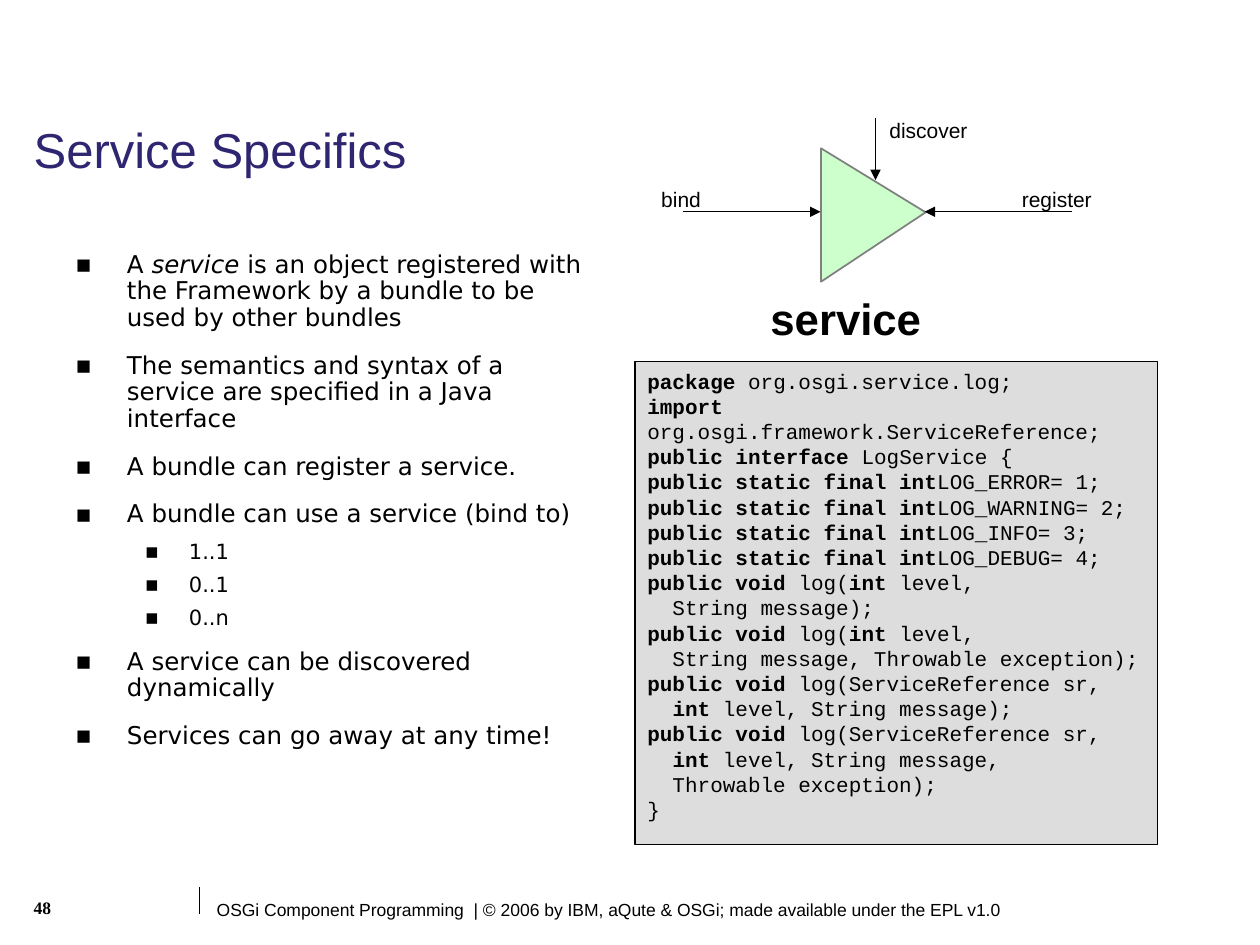
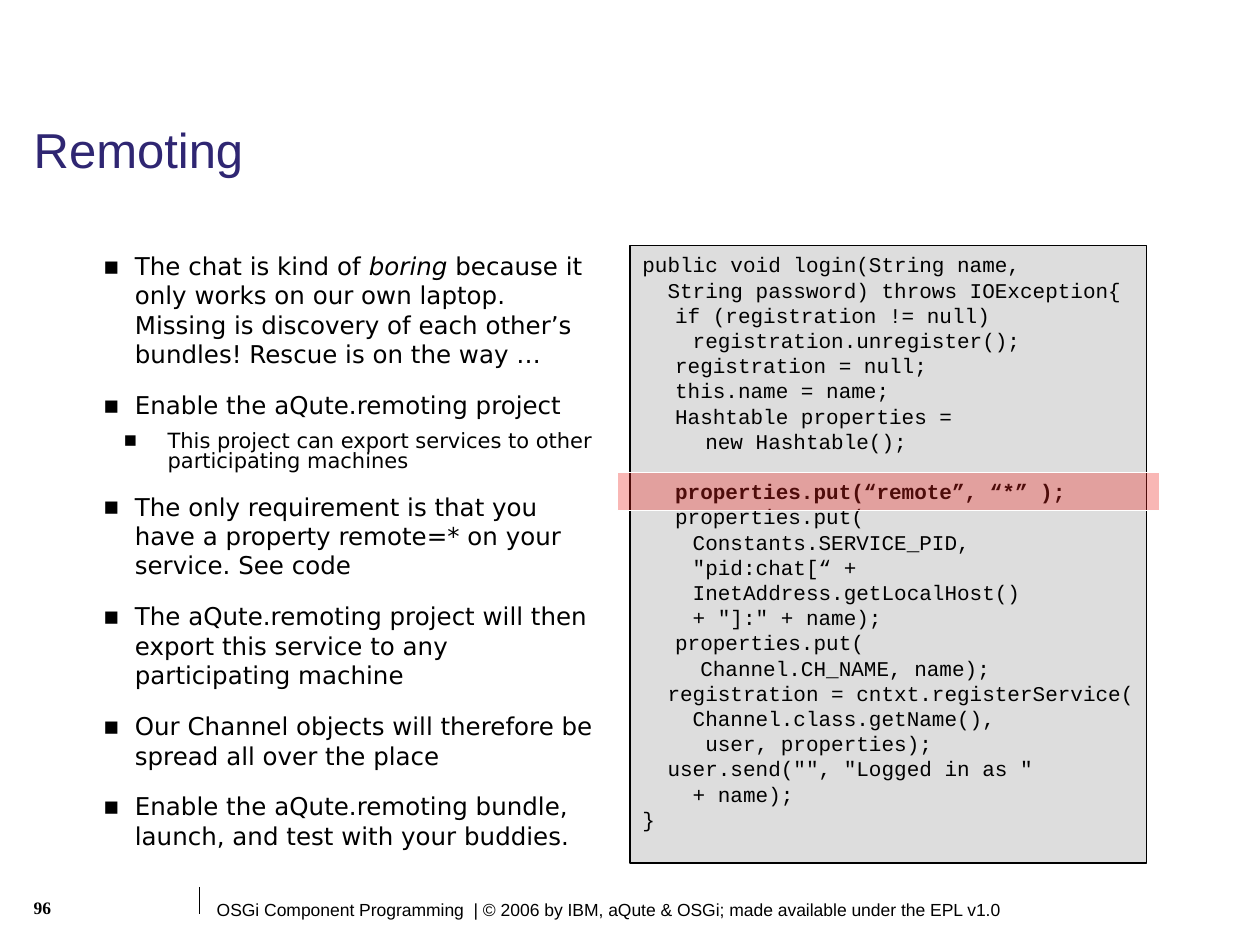
"""Build two slides on OSGi services: service specifics and remoting."""
from lxml.etree import SubElement
from pptx import Presentation
from pptx.dml.color import RGBColor
from pptx.enum.shapes import MSO_CONNECTOR as Connector, MSO_SHAPE as Shape
from pptx.enum.text import MSO_ANCHOR as Anchor, PP_ALIGN as Align
from pptx.oxml.ns import qn
from pptx.util import Cm, Pt

COLOURS = {
    "text": "000000",
    "title": "2F2672",
    "code": "DDDDDD",
    "service": "CCFFCC",
    "outline": "808080",
    "highlight": "EE2520",
    "white": "FFFFFF",
}
FOOTER = ("OSGi Component Programming  | © 2006 by IBM, aQute & OSGi; "
          "made available under the EPL v1.0")
LIST_FONT = "DejaVu Sans"
MARK = "**"
CODE_LINE = 14.4
TITLE_ONLY = 5


class Deck:
    """Hold the shared style and the slide being filled."""

    def __init__(self):
        """Start an empty 4:3 presentation."""
        self.deck = Presentation()
        self.deck.slide_width, self.deck.slide_height = Cm(25.4), Cm(19.05)
        self.page = None

    def colour(self, name):
        """Return a named colour."""
        return RGBColor.from_string(COLOURS[name])

    def span(self, para, words, size, font="Arial", colour="text", bold=False, italic=False):
        """Add one formatted run."""
        run = para.add_run()
        run.text = words
        run.font.size, run.font.name = Pt(size), font
        run.font.bold, run.font.italic = bold, italic
        run.font.color.rgb = self.colour(colour)

    def frame(self, shape, wrap=True):
        """Give a shape's text the shared insets and a top anchor."""
        frame = shape.text_frame
        frame.word_wrap, frame.vertical_anchor = wrap, Anchor.TOP
        frame.margin_left = frame.margin_right = Cm(0.25)
        frame.margin_top = frame.margin_bottom = Cm(0.13)
        return frame

    def paragraphs(self, frame, items):
        """Yield each item with a paragraph of its own."""
        for index, item in enumerate(items):
            yield item, frame.add_paragraph() if index else frame.paragraphs[0]

    def start(self, title, number):
        """Open a slide with its title, footer and page number."""
        self.page = self.deck.slides.add_slide(self.deck.slide_layouts[TITLE_ONLY])
        box = self.page.shapes.title
        box.left, box.top, box.width, box.height = Cm(0.43), Cm(2.41), Cm(22.91), Cm(1.4)
        para = self.frame(box).paragraphs[0]
        para.alignment, para.line_spacing = Align.LEFT, 0.9
        self.span(para, title, 28, colour="title")
        self.line((4.02, 17.88), (4.02, 18.42))
        self.label(FOOTER, 4.12, 18, 21.28, 0.69, size=10)
        self.label(number, 0.43, 17.96, 2.79, 0.89, size=10, font="Times New Roman", bold=True)

    def label(self, words, left, top, width, height=0.76, size=12, align=Align.LEFT, **style):
        """Add a one-line text box."""
        box = self.page.shapes.add_textbox(Cm(left), Cm(top), Cm(width), Cm(height))
        para = self.frame(box).paragraphs[0]
        para.alignment = align
        self.span(para, words, size, **style)

    def line(self, start, end, arrow=False):
        """Add a thin black line, with an arrowhead at its end if asked."""
        line = self.page.shapes.add_connector(Connector.STRAIGHT, *map(Cm, start + end))
        line.line.color.rgb, line.line.width = self.colour("text"), Pt(0.75)
        if arrow:
            SubElement(line.line._get_or_add_ln(), qn("a:tailEnd"), type="triangle")
        SubElement(line._element.spPr, qn("a:effectLst"))

    def shape(self, kind, left, top, width, height, fill, outline, weight=0.75):
        """Add a flat filled shape."""
        shape = self.page.shapes.add_shape(kind, Cm(left), Cm(top), Cm(width), Cm(height))
        shape.shadow.inherit = False
        shape.fill.solid()
        shape.fill.fore_color.rgb = self.colour(fill)
        shape.line.color.rgb, shape.line.width = self.colour(outline), Pt(weight)
        return shape

    def bullets(self, items, left, top, width, indents, spacings):
        """Add a two-level list; marked words are italic."""
        box = self.page.shapes.add_textbox(Cm(left), Cm(top), Cm(width), Cm(12.52))
        frame = self.frame(box)
        for (level, words), para in self.paragraphs(frame, items):
            margin, hanging = indents[level]
            before, after, size = ((8.8, 3.5, 14), (3.7, 2.2, 12))[level]
            para.level, para.line_spacing = level, spacings[level]
            para.space_before = Pt(before if para._p is not frame.paragraphs[0]._p else 0)
            para.space_after = Pt(after)
            props = para._p.get_or_add_pPr()
            props.set("marL", str(Cm(margin)))
            props.set("indent", str(-Cm(hanging)))
            tint = SubElement(props, qn("a:buClr"))
            SubElement(tint, qn("a:srgbClr"), val=COLOURS["text"])
            SubElement(props, qn("a:buFont"), typeface=LIST_FONT)
            SubElement(props, qn("a:buChar"), char="▪")
            for index, part in enumerate(words.split(MARK)):
                self.span(para, part, size, LIST_FONT, italic=index % 2 == 1)

    def code(self, source, left, top, width, height):
        """Add a grey code panel; marked words are bold, an empty line is a gap."""
        panel = self.shape(Shape.RECTANGLE, left, top, width, height, "code", "text")
        gap, lines = 0, []
        for words in source.strip("\n").split("\n"):
            if words:
                lines.append((words, gap))
            gap = 0 if words else CODE_LINE
        for (words, gap), para in self.paragraphs(self.frame(panel), lines):
            para.alignment, para.space_before = Align.LEFT, Pt(gap)
            tabs = SubElement(para._p.get_or_add_pPr(), qn("a:tabLst"))
            for stop in (0.66, 1.27, 2.54):
                SubElement(tabs, qn("a:tab"), pos=str(Cm(stop)), algn="l")
            for index, part in enumerate(words.split(MARK)):
                if part:
                    self.span(para, part, 12, "Courier New", bold=index % 2 == 1)

    def highlight(self, left, top, width, height):
        """Lay a translucent red band over a line of code."""
        band = self.shape(Shape.RECTANGLE, left, top, width, height, "highlight", "white")
        tint = band._element.spPr.find(qn("a:solidFill")).find(qn("a:srgbClr"))
        SubElement(tint, qn("a:alpha"), val="33000")


LOG_SERVICE = """
**package** org.osgi.service.log;
**import** org.osgi.framework.ServiceReference;
**public interface** LogService {
**public static final int**LOG_ERROR= 1;
**public static final int**LOG_WARNING= 2;
**public static final int**LOG_INFO= 3;
**public static final int**LOG_DEBUG= 4;
**public void** log(**int** level,
  String message);
**public void** log(**int** level,
  String message, Throwable exception);
**public void** log(ServiceReference sr,
  **int** level, String message);
**public void** log(ServiceReference sr,
  **int** level, String message,
  Throwable exception);
}
"""

LOGIN = """
public void login(String name,
  String password) throws IOException{
\tif (registration != null)
    registration.unregister();
\tregistration = null;
\tthis.name = name;
\tHashtable properties =
     new Hashtable();

**\tproperties.put(“remote”, “*” );**
\tproperties.put(
    Constants.SERVICE_PID,
    "pid:chat[“ +
    InetAddress.getLocalHost()
    + "]:" + name);
\tproperties.put(
\t  Channel.CH_NAME, name);
  registration = cntxt.registerService(
    Channel.class.getName(),
     user, properties);
  user.send("", "Logged in as "
    + name);
}
"""


def service_specifics(deck):
    """Fill the slide on what a service is."""
    deck.start("Service Specifics", "48")
    deck.bullets([
        (0, "A **service** is an object registered with the Framework by a bundle "
            "to be used by other bundles"),
        (0, "The semantics and syntax of a service are specified in a Java interface"),
        (0, "A bundle can register a service."),
        (0, "A bundle can use a service (bind to)"),
        (1, "1..1"),
        (1, "0..1"),
        (1, "0..n"),
        (0, "A service can be discovered dynamically"),
        (0, "Services can go away at any time!"),
    ], 1.27, 4.95, 10.92, indents=((1.04, 1.04), (2.29, 0.89)), spacings=(0.9, 0.9))
    triangle = deck.shape(Shape.ISOSCELES_TRIANGLE, 16.26, 3.28, 2.69, 2.11,
                          "service", "outline", 1)
    triangle.rotation = 90
    triangle.adjustments[0] = 0.48
    deck.label("service", 15.05, 5.76, 4, 1.27, size=25, align=Align.CENTER, bold=True)
    for words, left, top, width, start, end in (
        ("bind", 13.08, 3.63, 1.7, (13.77, 4.27), (16.54, 4.27)),
        ("register", 20.35, 3.63, 2.5, (21.62, 4.27), (18.64, 4.27)),
        ("discover", 17.68, 2.23, 2.5, (17.65, 2.38), (17.65, 3.63)),
    ):
        deck.line(start, end, arrow=True)
        deck.label(words, left, top, width)
    deck.code(LOG_SERVICE, 12.8, 7.29, 10.54, 9.73)


def remoting(deck):
    """Fill the slide on exporting services to other machines."""
    deck.start("Remoting", "96")
    deck.bullets([
        (0, "The chat is kind of **boring** because it only works on our own laptop. "
            "Missing is discovery of each other’s bundles! Rescue is on the way …"),
        (0, "Enable the aQute.remoting project"),
        (1, "This project can export services to other participating machines"),
        (0, "The only requirement is that you have a property remote=* on your service. "
            "See code"),
        (0, "The aQute.remoting project will then export this service to any "
            "participating machine"),
        (0, "Our Channel objects will therefore be spread all over the place"),
        (0, "Enable the aQute.remoting bundle, launch, and test with your buddies."),
    ], 1.83, 4.93, 10.54, indents=((0.64, 0.64), (1.3, 0.89)), spacings=(1.0, 0.8))
    deck.code(LOGIN, 12.7, 4.95, 10.41, 12.45)
    deck.highlight(12.45, 9.53, 10.92, 0.76)


def main():
    """Build both slides and save them."""
    deck = Deck()
    service_specifics(deck)
    remoting(deck)
    deck.deck.save("out.pptx")


if __name__ == "__main__":
    main()
